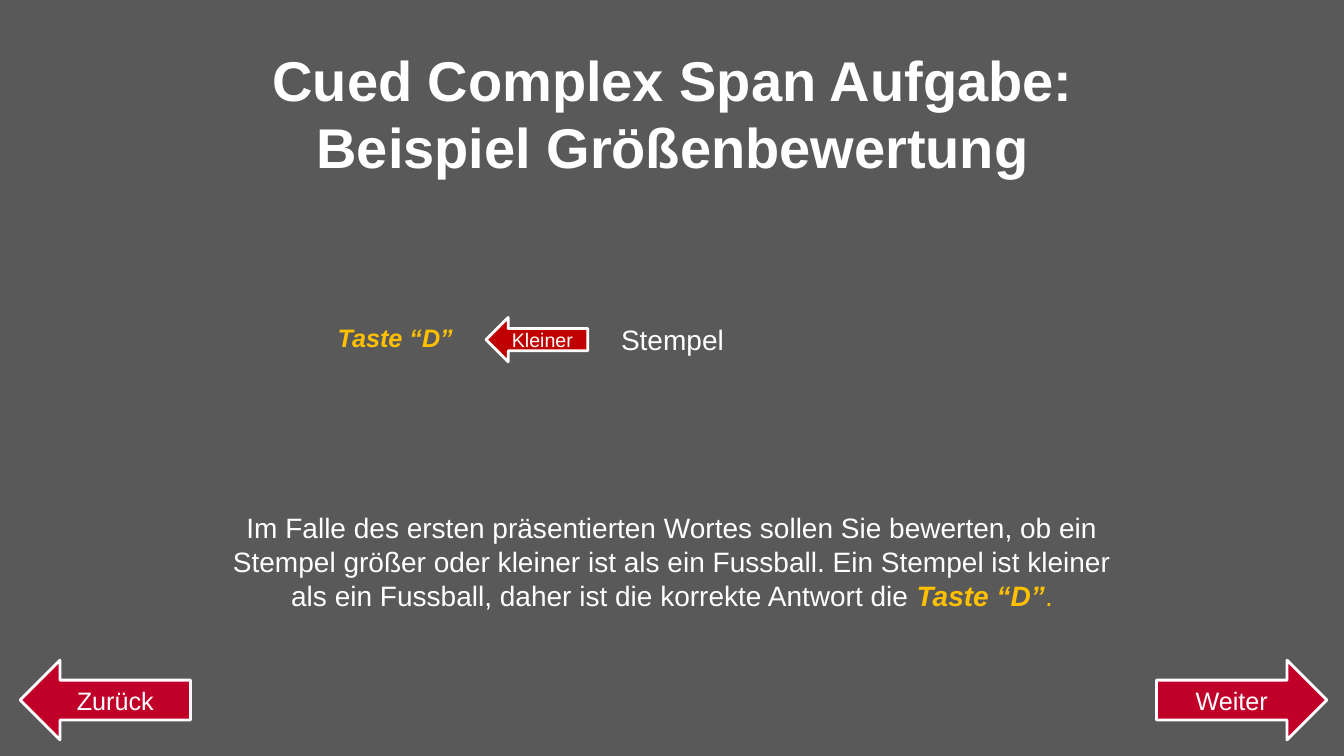
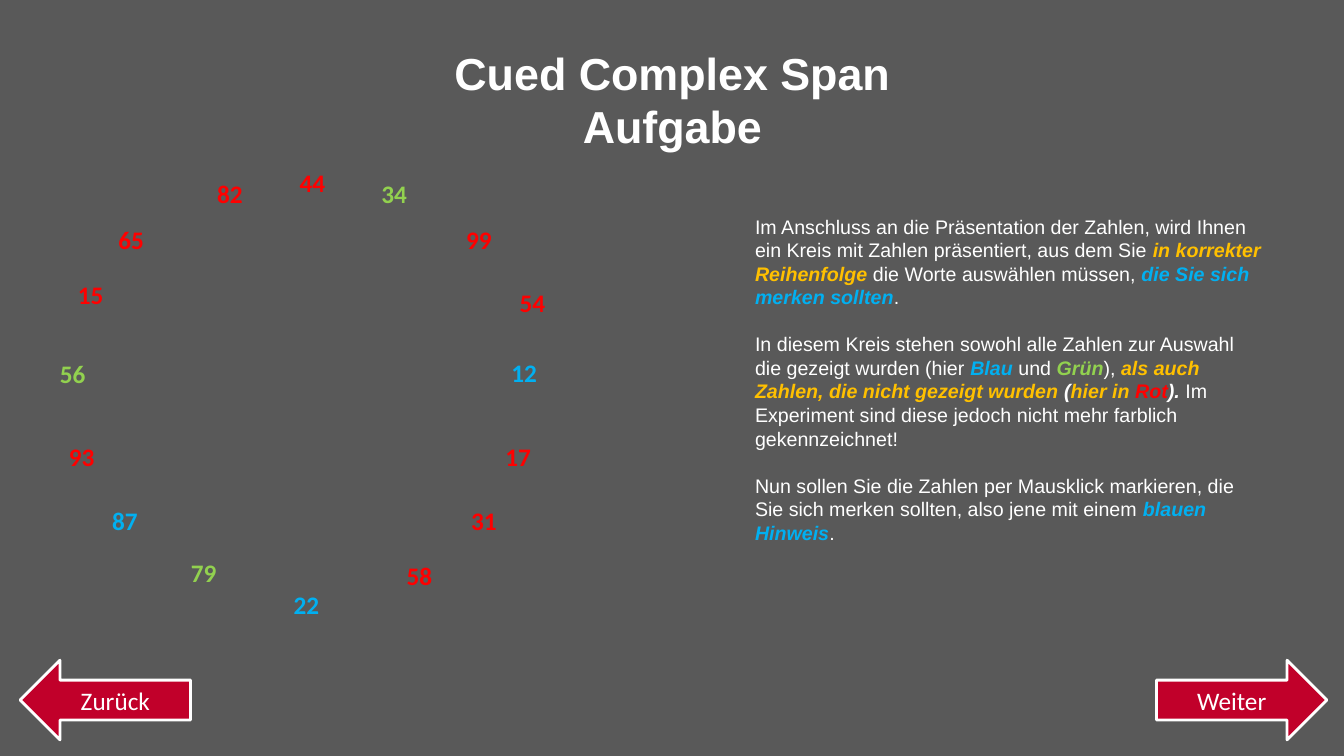
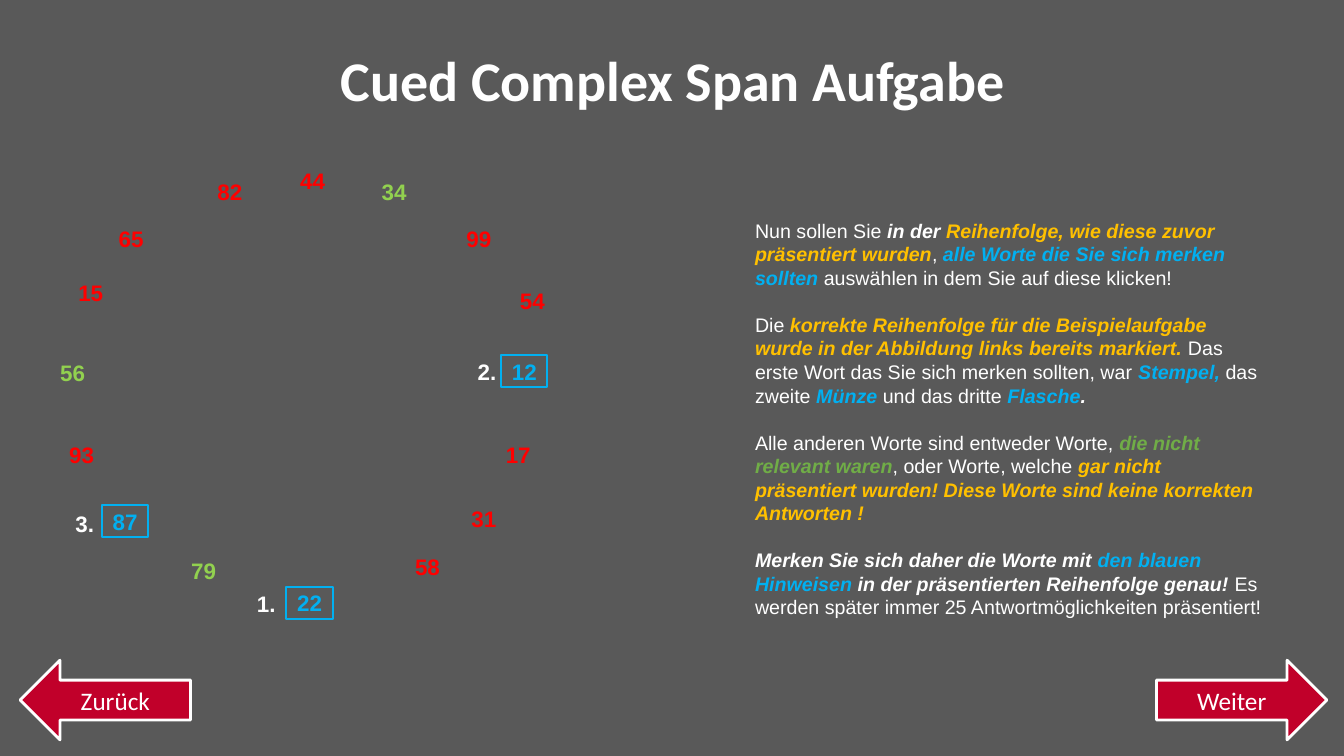
"""Build three instruction slides for the cued complex span task."""
from dataclasses import dataclass

from pptx import Presentation
from pptx.dml.color import RGBColor
from pptx.enum import shapes, text
from pptx.util import Inches, Pt


@dataclass(frozen=True)
class Theme:
    background: str = "595959"
    white: str = "FFFFFF"
    yellow: str = "FFC000"
    blue: str = "01B0F1"
    green: str = "92D14F"
    dark_green: str = "70AD47"
    red: str = "FF0000"
    button: str = "C1002A"
    answer: str = "C00000"
    sans: str = "Arial"
    alternate: str = "Calibri"
    title: int = 40
    small_title: int = 32
    lead: int = 20
    label: int = 18
    number: int = 16
    body: int = 14
    paragraph_gap: float = 16.8
    outline: float = 2
    marker_outline: float = 1.5


T = Theme()
PLAIN = (T.white, False)
STRONG = (T.white, True)
YELLOW = (T.yellow, True)
YELLOW_PLAIN = (T.yellow, False)
BLUE = (T.blue, True)
GREEN = (T.green, True)
DARK_GREEN = (T.dark_green, True)
RED = (T.red, True)

TITLES = [
    ("Cued Complex Span Aufgabe:\vBeispiel Größenbewertung", T.title, T.sans, 9, 1.43),
    ("Cued Complex Span Aufgabe", T.small_title, T.sans, 6, 1.17),
    ("Cued Complex Span Aufgabe", T.title, T.alternate, 9, 0.77),
]
BUTTON_FONTS = [T.sans, T.alternate, T.alternate]
BUTTONS = [
    ("Weiter", 11.47, shapes.MSO_SHAPE.RIGHT_ARROW),
    ("Zurück", 0.2, shapes.MSO_SHAPE.LEFT_ARROW),
]

EXAMPLE = [[
    ("Im Falle des ersten präsentierten Wortes sollen Sie bewerten, ob ein Stempel "
     "größer oder kleiner ist als ein Fussball. Ein Stempel ist kleiner als ein "
     "Fussball, daher ist die korrekte Antwort die ", PLAIN),
    ("Taste “D”", YELLOW),
    (".", YELLOW_PLAIN),
]]
SELECTION = [
    [
        ("Im Anschluss an die Präsentation der Zahlen, wird Ihnen ein Kreis mit Zahlen "
         "präsentiert, aus dem Sie ", PLAIN),
        ("in korrekter Reihenfolge ", YELLOW),
        ("die Worte auswählen müssen, ", PLAIN),
        ("die Sie sich merken sollten", BLUE),
        (".", PLAIN),
    ],
    [
        ("In diesem Kreis stehen sowohl alle Zahlen zur Auswahl die gezeigt wurden (hier ",
         PLAIN),
        ("Blau", BLUE),
        (" und ", PLAIN),
        ("Grün", GREEN),
        ("), ", PLAIN),
        ("als auch Zahlen, die nicht gezeigt wurden ", YELLOW),
        ("(", STRONG),
        ("hier in ", YELLOW),
        ("Rot", RED),
        ("). ", STRONG),
        ("Im Experiment sind diese jedoch nicht mehr farblich gekennzeichnet!", PLAIN),
    ],
    [
        ("Nun sollen Sie die Zahlen per Mausklick markieren, die Sie sich merken sollten, "
         "also jene mit einem ", PLAIN),
        ("blauen Hinweis", BLUE),
        (".", PLAIN),
    ],
]
ORDER = [
    [
        ("Nun sollen Sie ", PLAIN),
        ("in der ", STRONG),
        ("Reihenfolge, wie diese zuvor präsentiert wurden", YELLOW),
        (", ", PLAIN),
        ("alle Worte die Sie sich merken sollten ", BLUE),
        ("auswählen in dem Sie auf diese klicken!", PLAIN),
    ],
    [
        ("Die ", PLAIN),
        ("korrekte Reihenfolge für die Beispielaufgabe wurde in der Abbildung links "
         "bereits markiert. ", YELLOW),
        ("Das erste Wort das Sie sich merken sollten, war ", PLAIN),
        ("Stempel, ", BLUE),
        ("das zweite ", PLAIN),
        ("Münze ", BLUE),
        ("und das dritte ", PLAIN),
        ("Flasche", BLUE),
        (".", STRONG),
    ],
    [
        ("Alle anderen Worte sind entweder Worte, ", PLAIN),
        ("die nicht relevant waren", DARK_GREEN),
        (", oder Worte, welche ", PLAIN),
        ("gar nicht präsentiert wurden! Diese Worte sind keine korrekten Antworten !",
         YELLOW),
    ],
    [
        ("Merken Sie sich daher die Worte mit ", STRONG),
        ("den blauen Hinweisen", BLUE),
        (" in der präsentierten Reihenfolge genau! ", STRONG),
        ("Es werden später immer 25 Antwortmöglichkeiten präsentiert!", PLAIN),
    ],
]

CIRCLE = {
    "44": (3.1, 1.61, T.red),
    "34": (3.91, 1.72, T.green),
    "99": (4.75, 2.18, T.red),
    "54": (5.28, 2.8, T.red),
    "12": (5.2, 3.5, T.blue),
    "17": (5.14, 4.33, T.red),
    "31": (4.8, 4.96, T.red),
    "58": (4.16, 5.51, T.red),
    "22": (3.04, 5.8, T.blue),
    "79": (2.02, 5.48, T.green),
    "87": (1.24, 4.96, T.blue),
    "93": (0.81, 4.33, T.red),
    "56": (0.72, 3.51, T.green),
    "15": (0.9, 2.72, T.red),
    "65": (1.3, 2.18, T.red),
    "82": (2.28, 1.72, T.red),
}
MARKED_CIRCLE = CIRCLE | {
    "22": (3.07, 5.8, T.blue),
    "87": (1.24, 4.99, T.blue),
    "58": (4.24, 5.44, T.red),
}
RANKS = [("1.", "22", 2.45, 5.81), ("2.", "12", 4.64, 3.5), ("3.", "87", 0.65, 5.01)]

LEFT, CENTER = text.PP_ALIGN.LEFT, text.PP_ALIGN.CENTER


def style(run, size, font, color, bold=False, italic=False):
    run.font.size, run.font.name = Pt(size), font
    run.font.bold, run.font.italic = bold, italic
    run.font.color.rgb = RGBColor.from_string(color)


def add_text(slide, box, paragraphs, size, font=T.sans, align=LEFT, italic=True):
    frame = slide.shapes.add_textbox(*map(Inches, box)).text_frame
    frame.word_wrap = True
    for index, runs in enumerate(paragraphs):
        paragraph = frame.add_paragraph() if index else frame.paragraphs[0]
        paragraph.alignment = align
        paragraph.space_before = Pt(T.paragraph_gap if index else 0)
        for words, (color, strong) in runs:
            run = paragraph.add_run()
            run.text = words
            style(run, size, font, color, strong, strong and italic)


def add_arrow(slide, kind, box, label, size, font, fill):
    arrow = slide.shapes.add_shape(kind, *map(Inches, box))
    arrow.shadow.inherit = False
    arrow.fill.solid()
    arrow.fill.fore_color.rgb = RGBColor.from_string(fill)
    arrow.line.color.rgb = RGBColor.from_string(T.white)
    arrow.line.width = Pt(T.outline)
    frame = arrow.text_frame
    frame.text = label
    frame.vertical_anchor = text.MSO_ANCHOR.MIDDLE
    frame.paragraphs[0].alignment = CENTER
    style(frame.paragraphs[0].runs[0], size, font, T.white)


def add_marker(slide, center, top):
    marker = slide.shapes.add_shape(
        shapes.MSO_SHAPE.RECTANGLE,
        *map(Inches, (center - 0.23, top + 0.02, 0.46, 0.32)))
    marker.shadow.inherit = False
    marker.fill.background()
    marker.line.color.rgb = RGBColor.from_string(T.blue)
    marker.line.width = Pt(T.marker_outline)


def add_circle(slide, circle, size, font):
    for number, (center, top, color) in circle.items():
        add_text(slide, (center - 0.4, top, 0.8, 0.4), [[(number, (color, True))]],
                 size, font, CENTER, italic=False)


def start_slide(prs, title, button_font):
    words, size, font, width, height = title
    slide = prs.slides.add_slide(prs.slide_layouts[5])
    heading = slide.shapes.title
    heading.left, heading.top = Inches(6.67 - width / 2), Inches(0.4)
    heading.width, heading.height = Inches(width), Inches(height)
    frame = heading.text_frame
    frame.text = words
    frame.word_wrap = True
    frame.auto_size = text.MSO_AUTO_SIZE.NONE
    frame.vertical_anchor = text.MSO_ANCHOR.TOP
    frame.paragraphs[0].alignment = CENTER
    for run in frame.paragraphs[0].runs:
        style(run, size, font, T.white, bold=True)
    for label, left, kind in BUTTONS:
        add_arrow(slide, kind, (left, 6.55, 1.69, 0.79), label, T.label,
                  button_font, T.button)
    return slide


def main():
    prs = Presentation()
    prs.slide_width, prs.slide_height = Inches(13.33), Inches(7.5)
    backdrop = prs.slide_master.background.fill
    backdrop.solid()
    backdrop.fore_color.rgb = RGBColor.from_string(T.background)
    example, selection, order = [
        start_slide(prs, title, font) for title, font in zip(TITLES, BUTTON_FONTS)]

    add_text(example, (2.06, 5.02, 9.21, 1.77), EXAMPLE, T.lead, align=CENTER)
    add_text(example, (4.3, 3.15, 4.74, 0.43), [[("Stempel", PLAIN)]], T.lead,
             align=CENTER)
    add_text(example, (3.25, 3.15, 1.36, 0.4), [[("Taste “D”", YELLOW)]], T.label)
    add_arrow(example, shapes.MSO_SHAPE.LEFT_ARROW, (4.82, 3.15, 1.01, 0.44),
              "Kleiner", T.body, T.sans, T.answer)

    add_text(selection, (7.39, 2.08, 5.23, 3.59), SELECTION, T.body)
    add_circle(selection, CIRCLE, T.label, T.alternate)

    add_text(order, (7.39, 2.12, 5.23, 4.29), ORDER, T.body)
    add_circle(order, MARKED_CIRCLE, T.number, T.sans)
    for rank, number, left, top in RANKS:
        center, number_top, _ = MARKED_CIRCLE[number]
        add_marker(order, center, number_top)
        add_text(order, (left, top, 0.4, 0.36), [[(rank, STRONG)]], T.number,
                 italic=False)

    prs.save("out.pptx")


if __name__ == "__main__":
    main()
